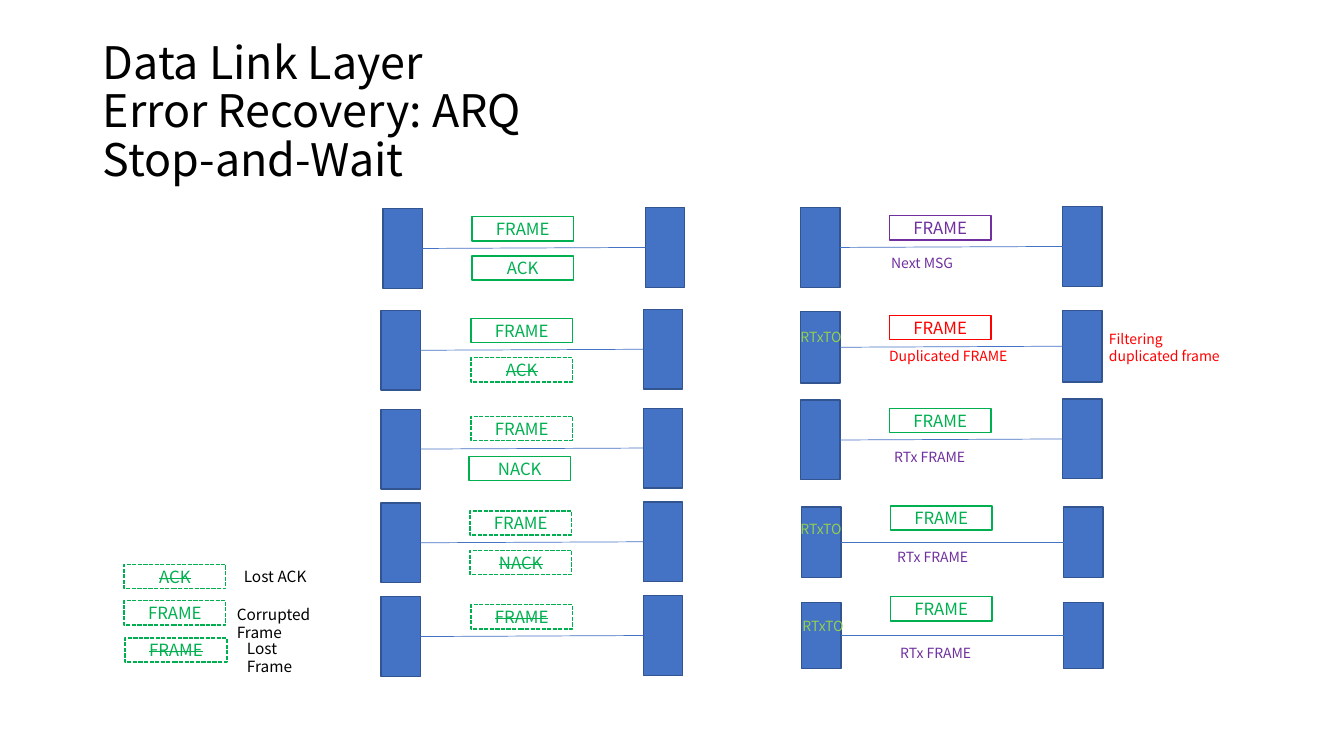
import dataclasses
import typing

import pptx
import pptx.dml.color
import pptx.enum.dml
import pptx.enum.shapes
import pptx.enum.text
import pptx.util
import lxml.etree

Inches = pptx.util.Inches
Pt = pptx.util.Pt
FONT = "Noto Sans CJK KR"
COLORS = {
    "black": "000000", "blue": "4472C4", "navy": "325491", "green": "00B050",
    "lime": "92D050", "purple": "7030A0", "red": "FF0000",
}
STATION_W, STATION_GAP = 0.39, 2.6
TAG_W, TAG_H = 1.01, 0.24


@dataclasses.dataclass
class Link:
    left: float
    top: float
    height: float = 0.79
    rise: float = 0.01


@dataclasses.dataclass
class Tag:
    left: float
    top: float
    text: str = "FRAME"
    color: str = "green"
    dashed: bool = False
    lost: bool = False


@dataclasses.dataclass
class Note:
    left: float
    top: float
    width: float
    height: float
    text: str
    color: str = "black"
    size: float = 10
    wrap: bool = False


LINKS = [
    Link(3.8, 2.07), Link(3.78, 3.08), Link(3.78, 4.06), Link(3.78, 4.99), Link(3.78, 5.92),
    Link(7.94, 2.06), Link(7.94, 3.09, 0.71), Link(7.94, 3.97),
    Link(7.95, 5.03, 0.7, 0), Link(7.95, 5.98, 0.65, 0),
]
TAGS = [
    Tag(4.68, 2.15),
    Tag(4.68, 2.54, "ACK"),
    Tag(4.67, 3.16),
    Tag(4.67, 3.55, "ACK", dashed=True, lost=True),
    Tag(4.67, 4.13, dashed=True),
    Tag(4.65, 4.53, "NACK"),
    Tag(4.66, 5.07, dashed=True),
    Tag(4.66, 5.46, "NACK", dashed=True, lost=True),
    Tag(4.67, 6, dashed=True, lost=True),
    Tag(8.82, 2.14, color="purple"),
    Tag(8.82, 3.13, color="red"),
    Tag(8.82, 4.05),
    Tag(8.83, 5.02),
    Tag(8.83, 5.92),
    Tag(1.23, 5.6, "ACK", dashed=True, lost=True),
    Tag(1.23, 5.96, dashed=True),
    Tag(1.24, 6.33, dashed=True, lost=True),
]
NOTES = [
    Note(8.74, 2.48, 0.85, 0.27, "Next MSG", "purple"),
    Note(8.72, 3.4, 1.38, 0.27, "Duplicated FRAME", "red"),
    Note(8.77, 4.4, 0.93, 0.27, "RTx FRAME", "purple"),
    Note(8.8, 5.39, 0.93, 0.27, "RTx FRAME", "purple"),
    Note(8.83, 6.34, 0.93, 0.27, "RTx FRAME", "purple"),
    Note(7.84, 3.21, 0.61, 0.27, "RTxTO", "lime"),
    Note(7.84, 5.11, 0.61, 0.27, "RTxTO", "lime"),
    Note(7.86, 6.08, 0.61, 0.27, "RTxTO", "lime"),
    Note(10.9, 3.23, 1.32, 0.44, "Filtering\nduplicated frame", "red"),
    Note(2.32, 5.58, 0.83, 0.29, "Lost ACK", size=11),
    Note(2.25, 5.95, 1.38, 0.29, "Corrupted Frame", size=11, wrap=True),
    Note(2.35, 6.29, 0.95, 0.29, "Lost Frame", size=11, wrap=True),
]


def rgb(name: str) -> pptx.dml.color.RGBColor:
    return pptx.dml.color.RGBColor.from_string(COLORS[name])


def apply(target: typing.Any, values: dict[str, typing.Any]) -> None:
    for key, value in values.items():
        setattr(target, key, value)


def style_text(tf: typing.Any, size: float, color: str) -> None:
    for p in tf.paragraphs:
        for r in p.runs:
            apply(r.font, {"name": FONT, "size": Pt(size)})
            r.font.color.rgb = rgb(color)
            ea = lxml.etree.SubElement(r.font._element, pptx.oxml.ns.qn("a:ea"))
            ea.set("typeface", FONT)


def add_rect(s: typing.Any, left: float, top: float, width: float, height: float, line: str) -> typing.Any:
    sp = s.shapes.add_shape(
        pptx.enum.shapes.MSO_SHAPE.RECTANGLE,
        Inches(left), Inches(top), Inches(width), Inches(height),
    )
    sp.shadow.inherit = False
    sp.line.width = Pt(1)
    sp.line.color.rgb = rgb(line)
    return sp


def add_station(s: typing.Any, left: float, top: float, height: float) -> typing.Any:
    sp = add_rect(s, left, top, STATION_W, height, "navy")
    sp.fill.solid()
    sp.fill.fore_color.rgb = rgb("blue")
    return sp


def add_link(s: typing.Any, link: Link) -> None:
    sender = add_station(s, link.left, link.top, link.height)
    receiver = add_station(s, link.left + STATION_GAP, link.top - link.rise, link.height)
    cx = s.shapes.add_connector(pptx.enum.shapes.MSO_CONNECTOR.STRAIGHT, 0, 0, 0, 0)
    cx.begin_connect(sender, 3)
    cx.end_connect(receiver, 1)
    cx.line.width = Pt(0.5)
    cx.line.color.rgb = rgb("blue")
    lxml.etree.SubElement(cx._element.spPr, pptx.oxml.ns.qn("a:effectLst"))


def add_tag(s: typing.Any, tag: Tag) -> None:
    sp = add_rect(s, tag.left, tag.top, TAG_W, TAG_H, tag.color)
    sp.fill.background()
    if tag.dashed:
        sp.line.dash_style = pptx.enum.dml.MSO_LINE.SQUARE_DOT
    tf = sp.text_frame
    tf.text = tag.text
    tf.vertical_anchor = pptx.enum.text.MSO_ANCHOR.MIDDLE
    p = tf.paragraphs[0]
    p.alignment = pptx.enum.text.PP_ALIGN.CENTER
    style_text(tf, 12, tag.color)
    if tag.lost:
        p.runs[0].font._element.set("strike", "sngStrike")


def add_note(s: typing.Any, note: Note) -> typing.Any:
    sp = s.shapes.add_textbox(
        Inches(note.left), Inches(note.top), Inches(note.width), Inches(note.height)
    )
    tf = sp.text_frame
    tf.text = note.text
    apply(tf, {"word_wrap": note.wrap, "auto_size": pptx.enum.text.MSO_AUTO_SIZE.SHAPE_TO_FIT_TEXT})
    style_text(tf, note.size, note.color)
    return tf


def add_title(s: typing.Any) -> None:
    text = "Data Link Layer \vError Recovery: ARQ\vStop-and-Wait"
    tf = add_note(s, Note(0.92, 0.4, 11.5, 1.45, text, size=32, wrap=True))
    apply(tf, {
        "auto_size": pptx.enum.text.MSO_AUTO_SIZE.NONE,
        "vertical_anchor": pptx.enum.text.MSO_ANCHOR.MIDDLE,
    })
    tf.paragraphs[0].line_spacing = 0.9


def main() -> None:
    prs = pptx.Presentation()
    apply(prs, {"slide_width": Inches(13.33), "slide_height": Inches(7.5)})
    s = prs.slides.add_slide(prs.slide_layouts[6])
    add_title(s)
    for link in LINKS:
        add_link(s, link)
    for tag in TAGS:
        add_tag(s, tag)
    for note in NOTES:
        add_note(s, note)
    prs.save("out.pptx")


if __name__ == "__main__":
    main()
